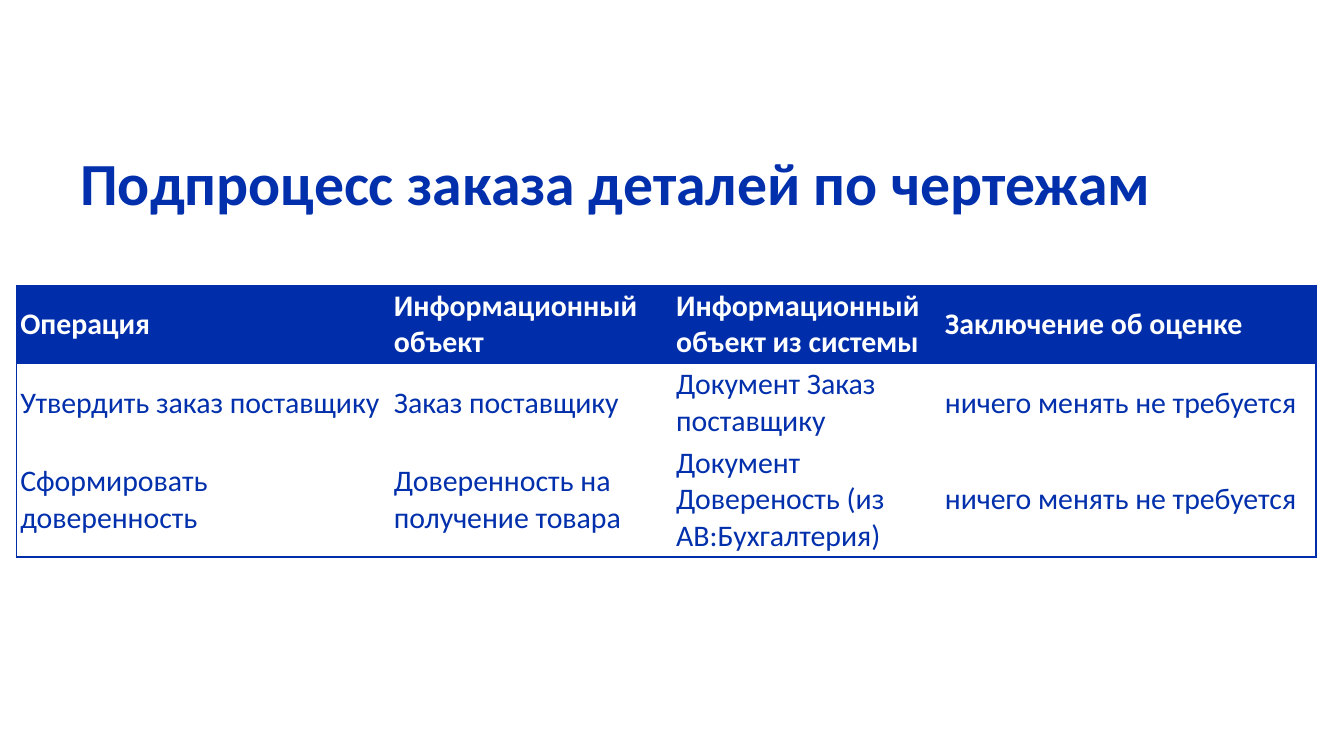
from lxml import etree
from pptx import Presentation
from pptx.dml.color import RGBColor
from pptx.enum.text import MSO_ANCHOR
from pptx.oxml.ns import qn
from pptx.util import Pt

MIDDLE = MSO_ANCHOR.MIDDLE
BLANK_LAYOUT = 6

BORDER_BLUE = RGBColor(0x00, 0x2E, 0xAA)
TEXT_BLUE = RGBColor(0x02, 0x30, 0xAC)
WHITE = RGBColor(0xFF, 0xFF, 0xFF)

FONT_NAME = "Calibri"
TITLE_FORMAT = {"name": FONT_NAME, "size": Pt(32), "bold": True}
HEADER_FORMAT = {"name": FONT_NAME, "size": Pt(16), "bold": True}
BODY_FORMAT = {"name": FONT_NAME, "size": Pt(16), "bold": False}
CELL_FORMAT = {
    "vertical_anchor": MIDDLE,
    "margin_left": Pt(2.2),
    "margin_right": Pt(2.2),
    "margin_top": Pt(1.45),
    "margin_bottom": Pt(1.45),
}

TITLE = "Подпроцесс заказа деталей по чертежам"
COLUMN_WIDTHS = (200.2, 151.2, 144, 200.9)
ROW_HEIGHT = 39
ROWS = (
    ("Операция", "Информационный объект",
     "Информационный объект из системы", "Заключение об оценке"),
    ("Утвердить заказ поставщику", "Заказ поставщику",
     "Документ Заказ поставщику", "ничего менять не требуется"),
    ("Сформировать доверенность", "Доверенность на получение товара",
     "Документ Довереность (из АВ:Бухгалтерия)", "ничего менять не требуется"),
)


def set_values(target, values):
    for name, value in values.items():
        setattr(target, name, value)


def write_text(text_frame, text, font_format, color):
    run = text_frame.paragraphs[0].add_run()
    run.text = text
    set_values(run.font, font_format)
    run.font.color.rgb = color


def set_borders(cell, visible_sides):
    """Draw the visible sides and switch the others off."""
    properties = cell._tc.get_or_add_tcPr()
    # Border lines must come before the cell fill, in this order
    for index, side in enumerate("LRTB"):
        line = etree.Element(qn(f"a:ln{side}"), w=str(Pt(0.75)))
        if side in visible_sides:
            fill = etree.SubElement(line, qn("a:solidFill"))
            etree.SubElement(fill, qn("a:srgbClr"), val=str(BORDER_BLUE))
        else:
            etree.SubElement(line, qn("a:noFill"))
        properties.insert(index, line)


def add_title(slide):
    shape = slide.shapes.add_textbox(Pt(36), Pt(72.7), Pt(648), Pt(49))
    set_values(shape.text_frame, {"word_wrap": True, "vertical_anchor": MIDDLE})
    write_text(shape.text_frame, TITLE, TITLE_FORMAT, TEXT_BLUE)


def format_cell(cell, text, is_header):
    set_values(cell, CELL_FORMAT)
    if is_header:
        cell.fill.solid()
        cell.fill.fore_color.rgb = BORDER_BLUE
        write_text(cell.text_frame, text, HEADER_FORMAT, WHITE)
    else:
        cell.fill.background()
        write_text(cell.text_frame, text, BODY_FORMAT, TEXT_BLUE)


def add_operations_table(slide):
    row_count, column_count = len(ROWS), len(COLUMN_WIDTHS)
    table = slide.shapes.add_table(
        row_count, column_count, Pt(8.7), Pt(152.8),
        Pt(sum(COLUMN_WIDTHS)), Pt(ROW_HEIGHT * row_count)).table
    table.horz_banding = False
    for column, width in zip(table.columns, COLUMN_WIDTHS):
        column.width = Pt(width)

    for row_index, texts in enumerate(ROWS):
        table.rows[row_index].height = Pt(ROW_HEIGHT)
        for column_index, text in enumerate(texts):
            cell = table.cell(row_index, column_index)
            format_cell(cell, text, row_index == 0)
            # Only the outer frame of the table is drawn
            outer_sides = {
                "L": column_index == 0,
                "R": column_index == column_count - 1,
                "T": row_index == 0,
                "B": row_index == row_count - 1,
            }
            set_borders(cell, [side for side, outer in outer_sides.items() if outer])


def main():
    presentation = Presentation()
    presentation.slide_width = Pt(720)
    presentation.slide_height = Pt(405)
    slide = presentation.slides.add_slide(presentation.slide_layouts[BLANK_LAYOUT])

    # Table of operations
    add_operations_table(slide)
    # Slide heading
    add_title(slide)

    presentation.save("out.pptx")


if __name__ == "__main__":
    main()
